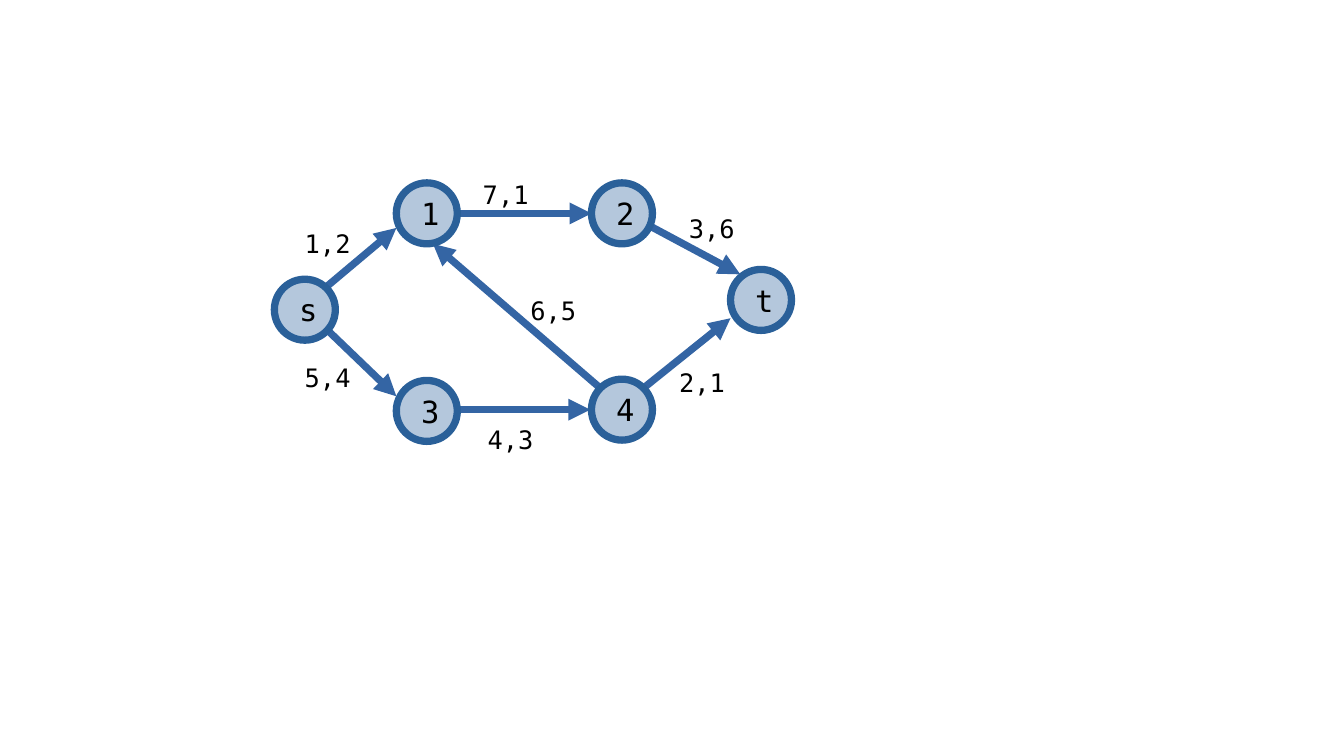
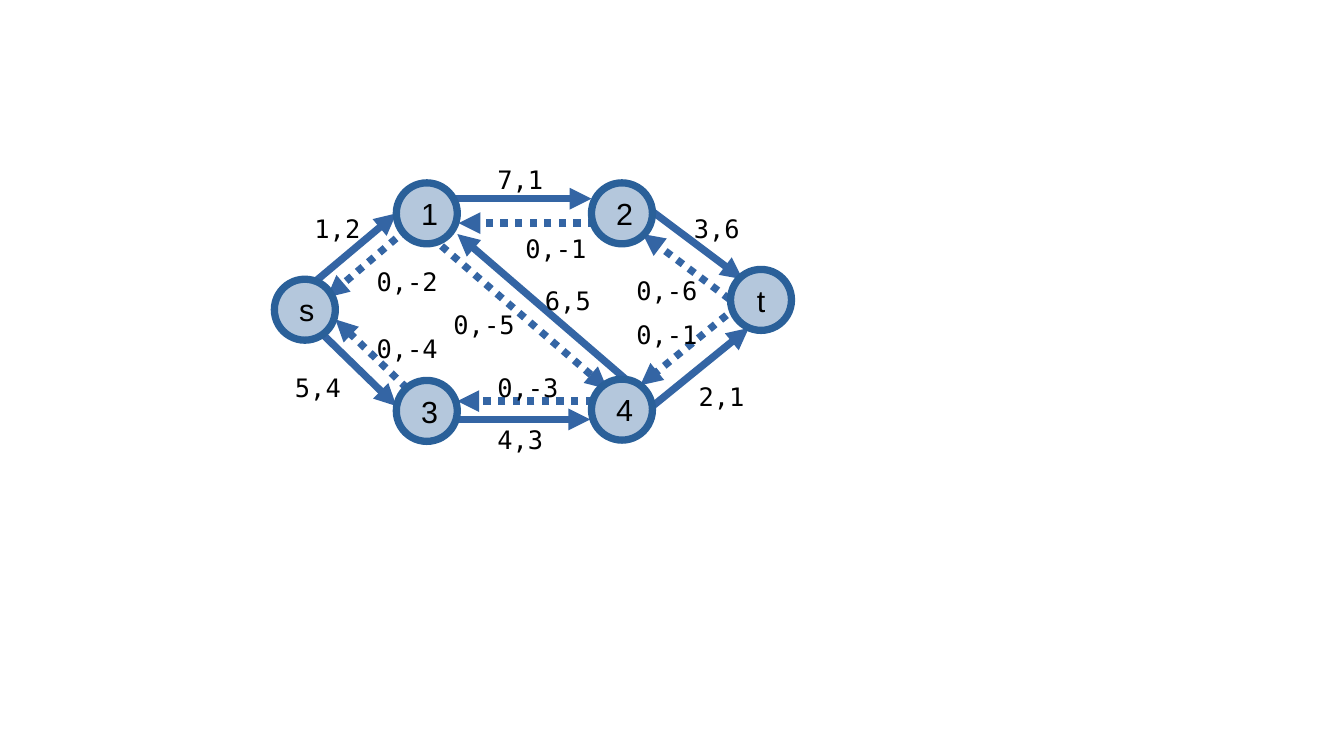
from dataclasses import dataclass

from lxml import etree
from pptx import Presentation
from pptx import util as u
from pptx.dml.color import RGBColor
from pptx.enum import dml, shapes, text
from pptx.oxml.ns import qn
from pptx.slide import Slide


@dataclass(frozen=True)
class Theme:
    edge: RGBColor = RGBColor.from_string("3465A4")
    node_fill: RGBColor = RGBColor.from_string("B4C7DC")
    node_line: RGBColor = RGBColor.from_string("2A6099")
    ink: RGBColor = RGBColor.from_string("000000")
    mono: str = "DejaVu Sans Mono"
    sans: str = "Arial"
    node_size: float = 18
    label_size: float = 15
    stroke: float = 4.31


@dataclass(frozen=True)
class Node:
    name: str
    left: float
    top: float


@dataclass(frozen=True)
class Edge:
    label: str
    label_at: tuple[float, float]
    start: tuple[float, float]
    end: tuple[float, float]
    residual: bool = False


@dataclass(frozen=True)
class Graph:
    node_font: str
    edges: list[Edge]


THEME = Theme()
NODE_DIAMETER = 0.5
NODE_INSETS = (0.13, 0.08)
LABEL_INSETS = (0.1, 0.05)
LABEL_HEIGHT = 0.34
CHARACTER_WIDTH = 0.125

NODES = [
    Node("s", 2.25, 2.29),
    Node("1", 3.25, 1.5),
    Node("2", 4.85, 1.5),
    Node("3", 3.25, 3.12),
    Node("4", 4.85, 3.11),
    Node("t", 5.99, 2.21),
]

FLOW_NETWORK = Graph(THEME.mono, [
    Edge("2,1", (5.47, 2.96), (5.18, 3.26), (5.99, 2.61)),
    Edge("6,5", (4.25, 2.37), (5, 3.25), (3.55, 2)),
    Edge("3,6", (5.55, 1.7), (5.21, 1.79), (6.07, 2.25)),
    Edge("4,3", (3.9, 3.43), (3.49, 3.36), (4.84, 3.36)),
    Edge("7,1", (3.86, 1.42), (3.5, 1.75), (4.85, 1.75)),
    Edge("5,4", (2.4, 2.92), (2.49, 2.52), (3.25, 3.25)),
    Edge("1,2", (2.4, 1.82), (2.5, 2.5), (3.25, 1.87)),
])

RESIDUAL_NETWORK = Graph(THEME.sans, [
    Edge("0,-1", (5.12, 2.57), (6.05, 2.51), (5.25, 3.16), True),
    Edge("0,-5", (3.62, 2.49), (3.53, 1.94), (4.98, 3.19), True),
    Edge("6,5", (4.37, 2.29), (5.2, 3.17), (3.75, 1.92)),
    Edge("0,-4", (2.99, 2.68), (3.51, 3.35), (2.75, 2.62), True),
    Edge("0,-3", (3.98, 3), (5.1, 3.29), (3.75, 3.29), True),
    Edge("0,-6", (5.12, 2.21), (6.27, 2.67), (5.27, 1.92), True),
    Edge("0,-1", (4.21, 1.86), (5.12, 1.83), (3.76, 1.83), True),
    Edge("0,-2", (2.99, 2.13), (3.43, 1.8), (2.68, 2.44), True),
    Edge("2,1", (5.63, 3.08), (5.34, 3.34), (6.14, 2.69)),
    Edge("3,6", (5.59, 1.7), (5.09, 1.54), (6.09, 2.29)),
    Edge("4,3", (3.98, 3.43), (3.49, 3.44), (4.84, 3.44)),
    Edge("7,1", (3.98, 1.3), (3.5, 1.63), (4.85, 1.63)),
    Edge("5,4", (2.32, 3), (2.49, 2.59), (3.25, 3.33)),
    Edge("1,2", (2.48, 1.7), (2.5, 2.38), (3.25, 1.75)),
])


def write_text(box, words: str, font: str, size: float, insets: tuple[float, float],
               align: text.PP_ALIGN) -> None:
    frame = box.text_frame
    frame.margin_left = frame.margin_right = u.Inches(insets[0])
    frame.margin_top = frame.margin_bottom = u.Inches(insets[1])
    para = frame.paragraphs[0]
    para.alignment = align
    span = para.add_run()
    span.text = words
    span.font.name = font
    span.font.size = u.Pt(size)
    span.font.color.rgb = THEME.ink


def draw_arrow(page: Slide, edge: Edge) -> None:
    ends = [u.Inches(length) for length in (*edge.start, *edge.end)]
    arrow = page.shapes.add_connector(shapes.MSO_CONNECTOR.STRAIGHT, *ends)
    arrow.line.color.rgb = THEME.edge
    arrow.line.width = u.Pt(THEME.stroke)
    if edge.residual:
        arrow.line.dash_style = dml.MSO_LINE.ROUND_DOT
    properties = arrow.element.spPr
    outline = properties.find(qn("a:ln"))
    etree.SubElement(outline, qn("a:tailEnd"), type="triangle")
    etree.SubElement(properties, qn("a:effectLst"))


def draw_node(page: Slide, node: Node, font: str) -> None:
    diameter = u.Inches(NODE_DIAMETER)
    circle = page.shapes.add_shape(
        shapes.MSO_SHAPE.OVAL, u.Inches(node.left), u.Inches(node.top), diameter, diameter)
    circle.shadow.inherit = False
    circle.fill.solid()
    circle.fill.fore_color.rgb = THEME.node_fill
    circle.line.color.rgb = THEME.node_line
    circle.line.width = u.Pt(THEME.stroke)
    circle.text_frame.vertical_anchor = text.MSO_ANCHOR.MIDDLE
    write_text(circle, node.name, font, THEME.node_size, NODE_INSETS, text.PP_ALIGN.CENTER)


def draw_label(page: Slide, edge: Edge) -> None:
    left, top = edge.label_at
    width = 2 * LABEL_INSETS[0] + CHARACTER_WIDTH * len(edge.label)
    box = page.shapes.add_textbox(
        u.Inches(left), u.Inches(top), u.Inches(width), u.Inches(LABEL_HEIGHT))
    box.text_frame.word_wrap = False
    box.text_frame.auto_size = text.MSO_AUTO_SIZE.SHAPE_TO_FIT_TEXT
    write_text(box, edge.label, THEME.mono, THEME.label_size, LABEL_INSETS, text.PP_ALIGN.LEFT)


def draw_graph(page: Slide, graph: Graph) -> None:
    for edge in graph.edges:
        draw_arrow(page, edge)
    for node in NODES:
        draw_node(page, node, graph.node_font)
    for edge in graph.edges:
        draw_label(page, edge)


def main() -> None:
    deck = Presentation()
    deck.slide_width = u.Inches(11.02)
    deck.slide_height = u.Inches(6.2)
    blank = deck.slide_layouts.get_by_name("Blank")
    for graph in (FLOW_NETWORK, RESIDUAL_NETWORK):
        draw_graph(deck.slides.add_slide(blank), graph)
    deck.save("out.pptx")


if __name__ == "__main__":
    main()
